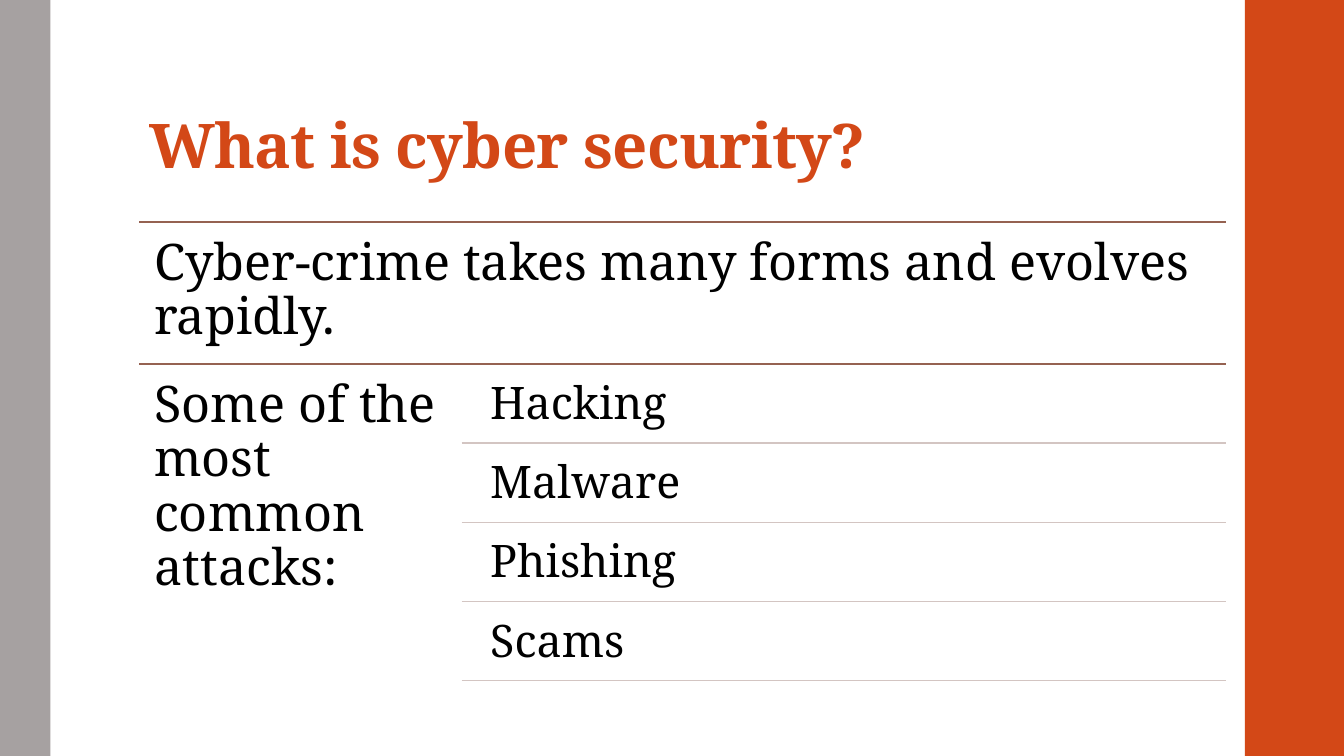
"""Build the slide on cyber security and its common attacks."""
from dataclasses import dataclass

from lxml.etree import SubElement
from pptx import Presentation
from pptx.dml.color import RGBColor as Rgb
from pptx.enum.shapes import MSO_CONNECTOR as Connector, MSO_SHAPE as Preset
from pptx.enum.text import MSO_ANCHOR as Anchor
from pptx.oxml.ns import qn
from pptx.slide import Slide
from pptx.util import Pt


@dataclass(frozen=True)
class Theme:
    font: str = "Noto Serif"
    accent: Rgb = Rgb(0xD3, 0x48, 0x17)
    side: Rgb = Rgb(0xA6, 0xA1, 0xA1)
    ink: Rgb = Rgb(0, 0, 0)
    section_rule: Rgb = Rgb(0x95, 0x62, 0x51)
    attack_rule: Rgb = Rgb(0xD3, 0xC5, 0xC2)
    title_size: float = 44
    statement_size: float = 36
    attack_size: float = 32
    rule_width: float = 1.1


@dataclass(frozen=True)
class Band:
    left: float
    width: float
    color: Rgb


@dataclass(frozen=True)
class Rule:
    left: float
    top: float
    color: Rgb


@dataclass(frozen=True)
class Passage:
    words: str
    left: float
    top: float
    width: float
    height: float
    size: float
    insets: tuple[float, float, float, float]
    color: Rgb
    anchor: Anchor = Anchor.TOP
    bold: bool = False
    tracking: float = 0


THEME = Theme()
SLIDE_WIDTH, SLIDE_HEIGHT = 960, 540
LEFT, RIGHT = 99.36, 875.52
INTRO_TOP, ATTACKS_TOP = 158.4, 259.92
ATTACK_RULE_LEFT, ATTACK_LEFT = 329.76, 340.56
FIRST_ATTACK, ATTACK_HEIGHT, ATTACK_PITCH = 262.6, 54, 56.48
ATTACKS = ("Hacking", "Malware", "Phishing", "Scams")
STATEMENT_INSETS = (10.8,) * 4
ATTACK_INSETS = (9.6,) * 4


def draw_band(slide: Slide, band: Band) -> None:
    """Draw a full-height colour band."""
    bar = slide.shapes.add_shape(
        Preset.RECTANGLE, Pt(band.left), 0, Pt(band.width), Pt(SLIDE_HEIGHT))
    bar.shadow.inherit = False
    bar.fill.solid()
    bar.fill.fore_color.rgb = band.color
    bar.line.fill.background()


def draw_rule(slide: Slide, rule: Rule) -> None:
    """Draw a horizontal rule to the right margin."""
    line = slide.shapes.add_connector(
        Connector.STRAIGHT, Pt(rule.left), Pt(rule.top), Pt(RIGHT), Pt(rule.top))
    line.line.color.rgb = rule.color
    line.line.width = Pt(THEME.rule_width)
    SubElement(line._element.spPr, qn("a:effectLst"))


def draw_passage(slide: Slide, passage: Passage) -> None:
    """Draw one paragraph in a wrapping text box."""
    box = slide.shapes.add_textbox(
        Pt(passage.left), Pt(passage.top), Pt(passage.width), Pt(passage.height))
    frame = box.text_frame
    left, top, right, bottom = map(Pt, passage.insets)
    paragraph = frame.paragraphs[0]
    run = paragraph.add_run()
    formats = {
        frame: {"word_wrap": True, "vertical_anchor": passage.anchor,
                "margin_left": left, "margin_top": top,
                "margin_right": right, "margin_bottom": bottom},
        paragraph: {"line_spacing": 0.9},
        run: {"text": passage.words},
        run.font: {"name": THEME.font, "size": Pt(passage.size), "bold": passage.bold},
        run.font.color: {"rgb": passage.color},
    }
    for target, values in formats.items():
        for attribute, value in values.items():
            setattr(target, attribute, value)
    if passage.tracking:
        run._r.get_or_add_rPr().set("spc", str(round(passage.tracking * 100)))


def main() -> None:
    """Compose and save the slide."""
    deck = Presentation()
    deck.slide_width, deck.slide_height = Pt(SLIDE_WIDTH), Pt(SLIDE_HEIGHT)
    slide = deck.slides.add_slide(deck.slide_layouts[6])

    bands = (Band(889.2, SLIDE_WIDTH - 889.2, THEME.accent), Band(0, 36, THEME.side))
    rules = [Rule(LEFT, top, THEME.section_rule) for top in (INTRO_TOP, ATTACKS_TOP)]
    passages = [
        Passage("What is cyber security?", LEFT, 28.8, RIGHT - LEFT, 104.4,
                THEME.title_size, (7.2, 2.16, 7.2, 3.6), THEME.accent,
                Anchor.BOTTOM, True, -0.5),
        Passage("Cyber-crime takes many forms and evolves rapidly.",
                LEFT, INTRO_TOP, RIGHT - LEFT, ATTACKS_TOP - INTRO_TOP,
                THEME.statement_size, STATEMENT_INSETS, THEME.ink),
        Passage("Some of the most common attacks:",
                LEFT, ATTACKS_TOP, ATTACK_RULE_LEFT - LEFT, 229.68,
                THEME.statement_size, STATEMENT_INSETS, THEME.ink),
    ]
    for row, attack in enumerate(ATTACKS):
        top = FIRST_ATTACK + row * ATTACK_PITCH
        passages.append(Passage(attack, ATTACK_LEFT, top, RIGHT - ATTACK_LEFT,
                                ATTACK_HEIGHT, THEME.attack_size, ATTACK_INSETS,
                                THEME.ink))
        rules.append(Rule(ATTACK_RULE_LEFT, top + ATTACK_HEIGHT, THEME.attack_rule))

    for band in bands:
        draw_band(slide, band)
    for rule in rules:
        draw_rule(slide, rule)
    for passage in passages:
        draw_passage(slide, passage)
    deck.save("out.pptx")


if __name__ == "__main__":
    main()
